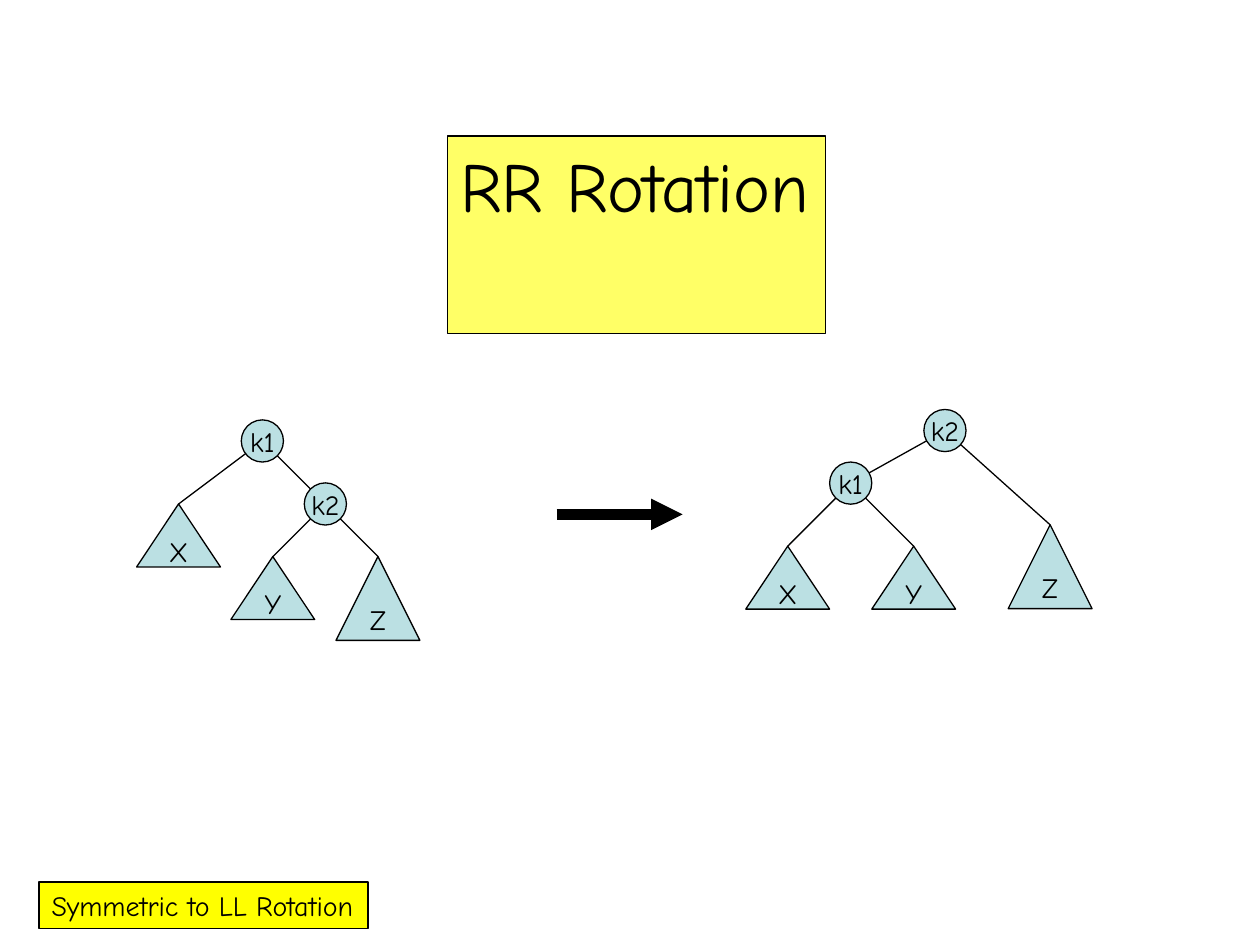
from lxml import etree
from pptx import Presentation
from pptx.dml.color import RGBColor
from pptx.enum import shapes, text
from pptx.oxml.ns import qn
from pptx.util import Cm, Pt

FONT = "Comic Neue"
BLACK = "000000"
NODE_SIZE = 0.85
TRIANGLE_WIDTH = 1.69


def style(shape, words, size, fill, align, anchor):
    """Fill and outline a shape and write its one line of text."""
    shape.fill.solid()
    shape.fill.fore_color.rgb = RGBColor.from_string(fill)
    shape.line.color.rgb = RGBColor.from_string(BLACK)
    shape.line.width = Pt(0.75)
    frame = shape.text_frame
    frame.word_wrap = False
    frame.vertical_anchor = anchor
    paragraph = frame.paragraphs[0]
    paragraph.alignment = align
    run = paragraph.add_run()
    run.text = words
    run.font.name = FONT
    run.font.size = Pt(size)
    run.font.color.rgb = RGBColor.from_string(BLACK)


def add_line(parent, start, end, width):
    """Draw a straight black line between two points given in cm."""
    line = parent.add_connector(
        shapes.MSO_CONNECTOR.STRAIGHT, *[Cm(value) for value in (*start, *end)])
    line.line.color.rgb = RGBColor.from_string(BLACK)
    line.line.width = Pt(width)
    etree.SubElement(line._element.spPr, qn("a:effectLst"))
    return line


presentation = Presentation()
presentation.slide_width = Cm(25.4)
presentation.slide_height = Cm(19.05)
slide = presentation.slides.add_slide(presentation.slide_layouts[5])

# Title
title = slide.shapes.title
title.left, title.top, title.width, title.height = Cm(9.02), Cm(2.74), Cm(7.62), Cm(1.96)
style(title, "RR Rotation", 40, "FFFF66", text.PP_ALIGN.LEFT, text.MSO_ANCHOR.TOP)
title.text_frame.auto_size = text.MSO_AUTO_SIZE.SHAPE_TO_FIT_TEXT

# Arrow from the tree before to the tree after
arrow = add_line(slide.shapes, (11.22, 10.37), (13.76, 10.37), 6)
etree.SubElement(arrow.line._get_or_add_ln(), qn("a:tailEnd"), type="triangle")

# Trees: node centres, subtree tips with heights, and edges
trees = [
    {
        "nodes": {"k1": (5.29, 8.89), "k2": (6.56, 10.16)},
        "subtrees": {"X": (3.6, 10.16, 1.27), "Y": (5.5, 11.22, 1.27), "Z": (7.62, 11.22, 1.69)},
        "edges": [("k1", "X"), ("k1", "k2"), ("k2", "Y"), ("k2", "Z")],
    },
    {
        "nodes": {"k2": (19.05, 8.68), "k1": (17.15, 9.74)},
        "subtrees": {"X": (15.88, 11.01, 1.27), "Y": (18.42, 11.01, 1.27), "Z": (21.17, 10.58, 1.69)},
        "edges": [("k2", "k1"), ("k2", "Z"), ("k1", "X"), ("k1", "Y")],
    },
]
for tree in trees:
    group = slide.shapes.add_group_shape().shapes
    points = {**tree["nodes"], **tree["subtrees"]}
    for parent, child in tree["edges"]:
        add_line(group, points[parent][:2], points[child][:2], 0.75)

    parts = [(name, shapes.MSO_SHAPE.OVAL, x - NODE_SIZE / 2, y - NODE_SIZE / 2, NODE_SIZE, NODE_SIZE)
             for name, (x, y) in tree["nodes"].items()]
    parts += [(name, shapes.MSO_SHAPE.ISOSCELES_TRIANGLE, x - TRIANGLE_WIDTH / 2, y, TRIANGLE_WIDTH, height)
              for name, (x, y, height) in tree["subtrees"].items()]
    for name, kind, *box in parts:
        shape = group.add_shape(kind, *[Cm(value) for value in box])
        shape.shadow.inherit = False
        style(shape, name, 16, "BBE0E3", text.PP_ALIGN.CENTER, text.MSO_ANCHOR.MIDDLE)

# Note at the bottom left
note = slide.shapes.add_textbox(Cm(0.79), Cm(17.78), Cm(6.63), Cm(0.94))
style(note, "Symmetric to LL Rotation", 16, "FFFF00", text.PP_ALIGN.LEFT, text.MSO_ANCHOR.TOP)
note.text_frame.auto_size = text.MSO_AUTO_SIZE.SHAPE_TO_FIT_TEXT

presentation.save("out.pptx")
